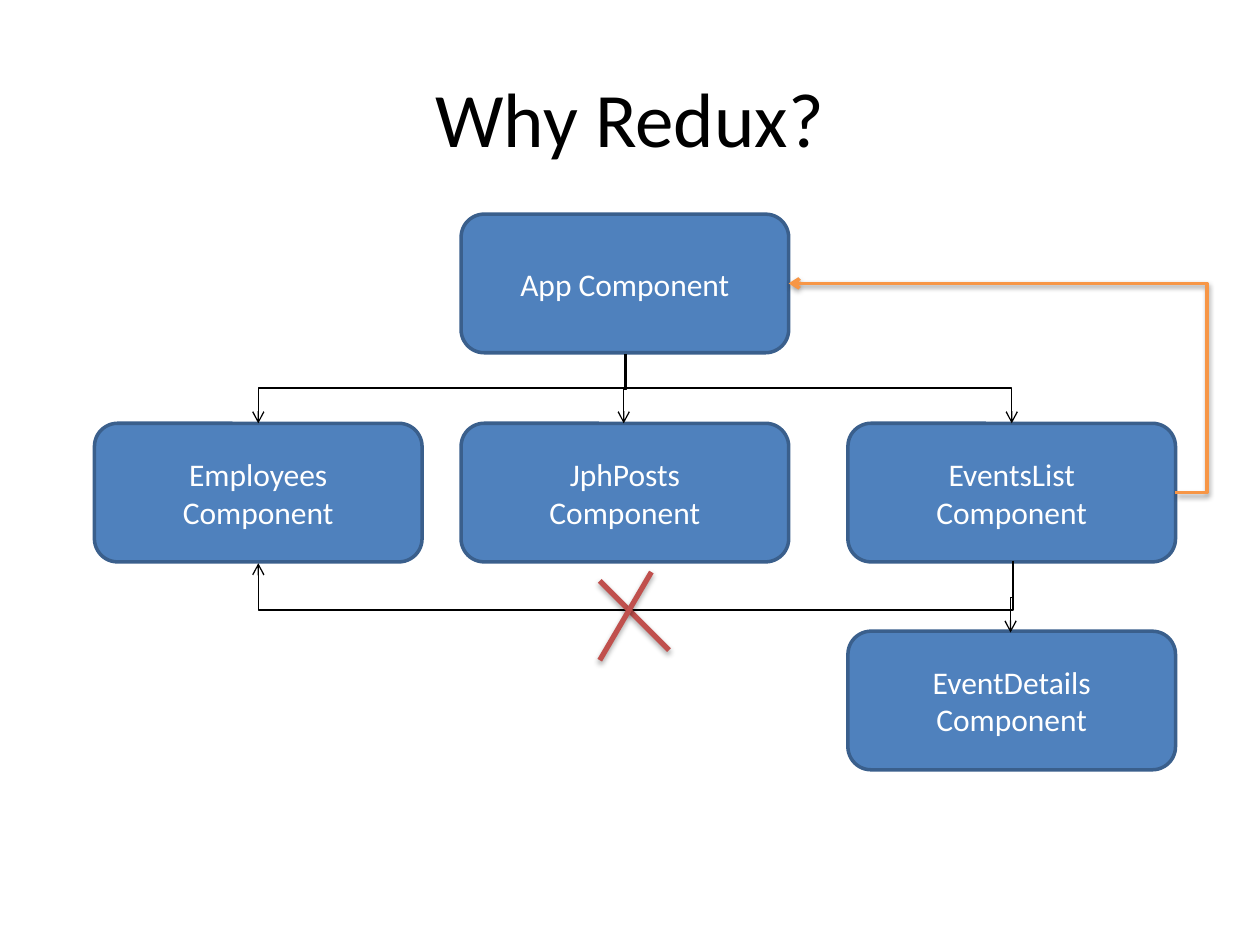
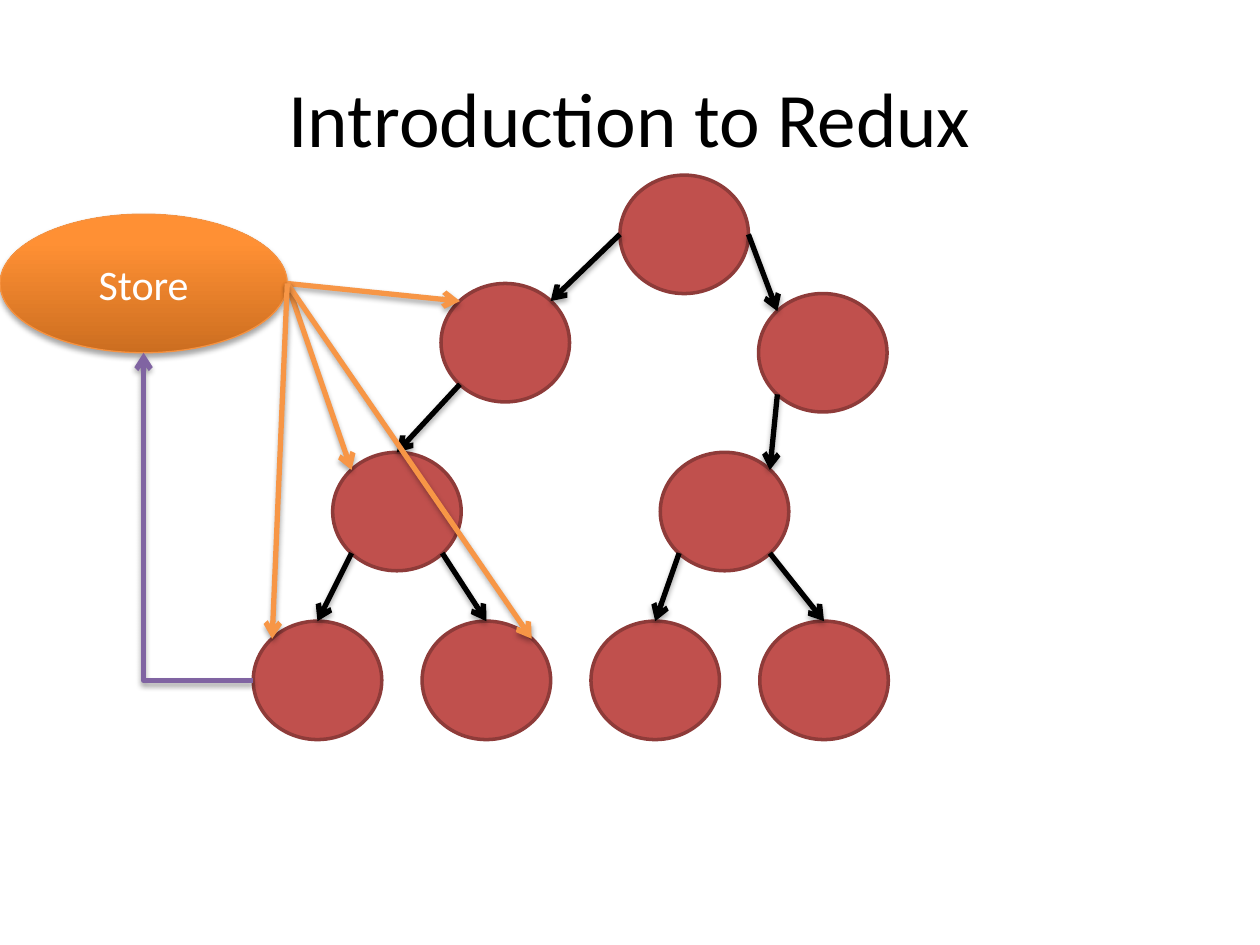
import math
from copy import deepcopy
from lxml import etree
from pptx import Presentation
from pptx import util as u
from pptx.dml.color import RGBColor
from pptx.enum import shapes, text
from pptx.oxml.ns import qn

PX = 9144
COLORS = {
    "black": "000000", "white": "FFFFFF", "blue": "4F81BD", "blue_edge": "3A5F8C",
    "red": "C0504D", "red_edge": "8E3B39", "orange": "F79646", "orange_edge": "F69240",
    "purple": "8064A2", "store_dark": "CC6E20", "store_mid": "FF9034", "store_light": "FF9136",
}
STORE_STOPS = ((0, "store_dark"), (0.8, "store_mid"), (1, "store_light"))
FONT = "Calibri"
BOX = (260, 110)
NODE = (102, 94)
SITE_ANGLES = {"right": 0, "bottom_right": 45, "bottom": 90, "bottom_left": 135,
               "left": 180, "top_left": 225, "top": 270, "top_right": 315}


def px(value):
    return round(value * PX)


def rgb(name):
    return RGBColor.from_string(COLORS[name])


def site(oval, side):
    """Return the point of an oval (left, top, width, height) at a named side."""
    left, top, width, height = oval
    angle = math.radians(SITE_ANGLES[side])
    return (round(left + width / 2 * (1 + math.cos(angle))),
            round(top + height / 2 * (1 + math.sin(angle))))


class Deck:
    """Holds the shared style and the slide being drawn."""

    def __init__(self):
        self.prs = Presentation()
        self.prs.slide_width, self.prs.slide_height = px(1000), px(750)
        self.slide = None

    def new_slide(self, title):
        self.slide = self.prs.slides.add_slide(self.prs.slide_layouts[6])
        heading = self.slide.shapes.add_textbox(*map(px, (50, 30, 900, 125)))
        self.label(heading, title, 44, "black")

    def label(self, shape, words, size, color):
        frame = shape.text_frame
        for name, value in {"word_wrap": True, "vertical_anchor": text.MSO_ANCHOR.MIDDLE,
                            "text": words}.items():
            setattr(frame, name, value)
        paragraph = frame.paragraphs[0]
        paragraph.alignment = text.PP_ALIGN.CENTER
        for run in paragraph.runs:
            for name, value in {"size": u.Pt(size), "name": FONT}.items():
                setattr(run.font, name, value)
            run.font.color.rgb = rgb(color)

    def cast_shadow(self, effects, alpha, distance):
        cast = etree.SubElement(effects, qn("a:outerShdw"), blurRad="40000",
                                dist=str(distance), dir="5400000", rotWithShape="0")
        tone = etree.SubElement(cast, qn("a:srgbClr"), val=COLORS["black"])
        etree.SubElement(tone, qn("a:alpha"), val=str(alpha * 1000))

    def shape(self, preset, bounds, fill, edge, width=2, words="", size=18):
        drawn = self.slide.shapes.add_shape(preset, *map(px, bounds))
        drawn.shadow.inherit = False
        drawn.fill.solid()
        drawn.fill.fore_color.rgb = rgb(fill)
        drawn.line.color.rgb = rgb(edge)
        drawn.line.width = u.Pt(width)
        if words:
            self.label(drawn, words, size, "white")
        return drawn

    def component(self, left, top, words):
        self.shape(shapes.MSO_SHAPE.ROUNDED_RECTANGLE, (left, top, *BOX),
                   "blue", "blue_edge", words=words)

    def node(self, bounds):
        self.shape(shapes.MSO_SHAPE.OVAL, bounds, "red", "red_edge")

    def store(self, bounds):
        drawn = self.shape(shapes.MSO_SHAPE.OVAL, bounds, "orange", "orange_edge",
                           0.75, "Store", 24)
        drawn.fill.gradient()
        drawn.fill.gradient_angle = 90
        stops = drawn._element.spPr.find(".//" + qn("a:gsLst"))
        stops.append(deepcopy(stops[0]))
        for stop, (position, color) in zip(drawn.fill.gradient_stops, STORE_STOPS):
            stop.position = position
            stop.color.rgb = rgb(color)
        self.cast_shadow(drawn._element.spPr.find(qn("a:effectLst")), 35, 23000)

    def link(self, start, end, color, width=3, head=True, alpha=35, distance=23000,
             kind=shapes.MSO_CONNECTOR.STRAIGHT):
        drawn = self.slide.shapes.add_connector(kind, *map(px, (*start, *end)))
        drawn.line.color.rgb = rgb(color)
        drawn.line.width = u.Pt(width)
        props = drawn._element.spPr
        if head:
            etree.SubElement(props.find(qn("a:ln")), qn("a:tailEnd"), type="arrow")
        effects = etree.SubElement(props, qn("a:effectLst"))
        if alpha:
            self.cast_shadow(effects, alpha, distance)
        return drawn

    def elbow(self, start, end, color, bend=None, **style):
        """Draw an arrow that leaves sideways; without a bend it has one corner."""
        drawn = self.link(start, end, color, kind=shapes.MSO_CONNECTOR.ELBOW, **style)
        outline = drawn._element.spPr.find(qn("a:prstGeom"))
        if bend is None:
            outline.set("prst", "bentConnector2")
        else:
            self.set_bend(outline, bend / abs(end[0] - start[0]))

    def drop(self, start, end, bend):
        """Draw a thin arrow that leaves downwards and turns after the bend."""
        (x1, y1), (x2, y2) = start, end
        drawn = self.link(start, end, "black", 0.75, alpha=0,
                          kind=shapes.MSO_CONNECTOR.ELBOW)
        run, rise = y2 - y1, abs(x2 - x1)
        for name, value in {"left": (x1 + x2 - run) / 2, "top": (y1 + y2 - rise) / 2,
                            "width": run, "height": rise}.items():
            setattr(drawn, name, px(value))
        frame = drawn._element.spPr.find(qn("a:xfrm"))
        frame.attrib.pop("flipH", None)
        frame.set("rot", "5400000" if x2 < x1 else "16200000")
        if x2 > x1:
            frame.set("flipH", "1")
        self.set_bend(drawn._element.spPr.find(qn("a:prstGeom")), bend / run)

    def set_bend(self, outline, ratio):
        guides = outline.find(qn("a:avLst"))
        etree.SubElement(guides, qn("a:gd"), name="adj1", fmla=f"val {round(ratio * 100000)}")


def draw_why(deck):
    deck.new_slide("Why Redux?")
    deck.component(366, 170, "App Component")
    for left, top, name in ((75, 336, "Employees"), (366, 336, "JphPosts"),
                            (673, 336, "EventsList"), (673, 501, "EventDetails")):
        deck.component(left, top, f"{name}\vComponent")
    for start, end, bend in (((496, 281), (205, 336), 27), ((496, 281), (803, 336), 27),
                             ((497, 281), (495, 336), 28), ((804, 447), (802, 502), 27),
                             ((804, 445), (205, 447), 39)):
        deck.drop(start, end, bend)
    for start, end in (((476, 461), (531, 516)), ((517, 454), (476, 524))):
        deck.link(start, end, "red", head=False)
    deck.elbow((933, 391), (626, 225), "orange", -25, width=2, alpha=38, distance=20000)


def draw_introduction(deck):
    deck.new_slide("Introduction to Redux")
    store = (0, 170, 228, 110)
    deck.store(store)
    places = {"root": (492, 139), "left": (350, 225), "right": (602, 233),
              "left_inner": (264, 359), "right_inner": (524, 359)}
    places.update({f"leaf{i}": (201 + 134 * i, 493) for i in range(4)})
    nodes = {name: (*place, *NODE) for name, place in places.items()}
    for bounds in nodes.values():
        deck.node(bounds)
    for parent, leaving, child, entering in (
            ("root", "left", "left", "top_right"),
            ("root", "right", "right", "top_left"),
            ("left", "bottom_left", "left_inner", "top"),
            ("right", "bottom_left", "right_inner", "top_right"),
            ("left_inner", "bottom_left", "leaf0", "top"),
            ("left_inner", "bottom_right", "leaf1", "top"),
            ("right_inner", "bottom_left", "leaf2", "top"),
            ("right_inner", "bottom_right", "leaf3", "top")):
        deck.link(site(nodes[parent], leaving), site(nodes[child], entering), "black")
    deck.elbow(site(nodes["leaf0"], "left"), site(store, "bottom"), "purple")
    for child, entering in (("left", "top_left"), ("left_inner", "top_left"),
                            ("leaf1", "top_right"), ("leaf0", "top_left")):
        deck.link(site(store, "right"), site(nodes[child], entering), "orange")


def main():
    deck = Deck()
    draw_why(deck)
    draw_introduction(deck)
    deck.prs.save("out.pptx")


if __name__ == "__main__":
    main()
